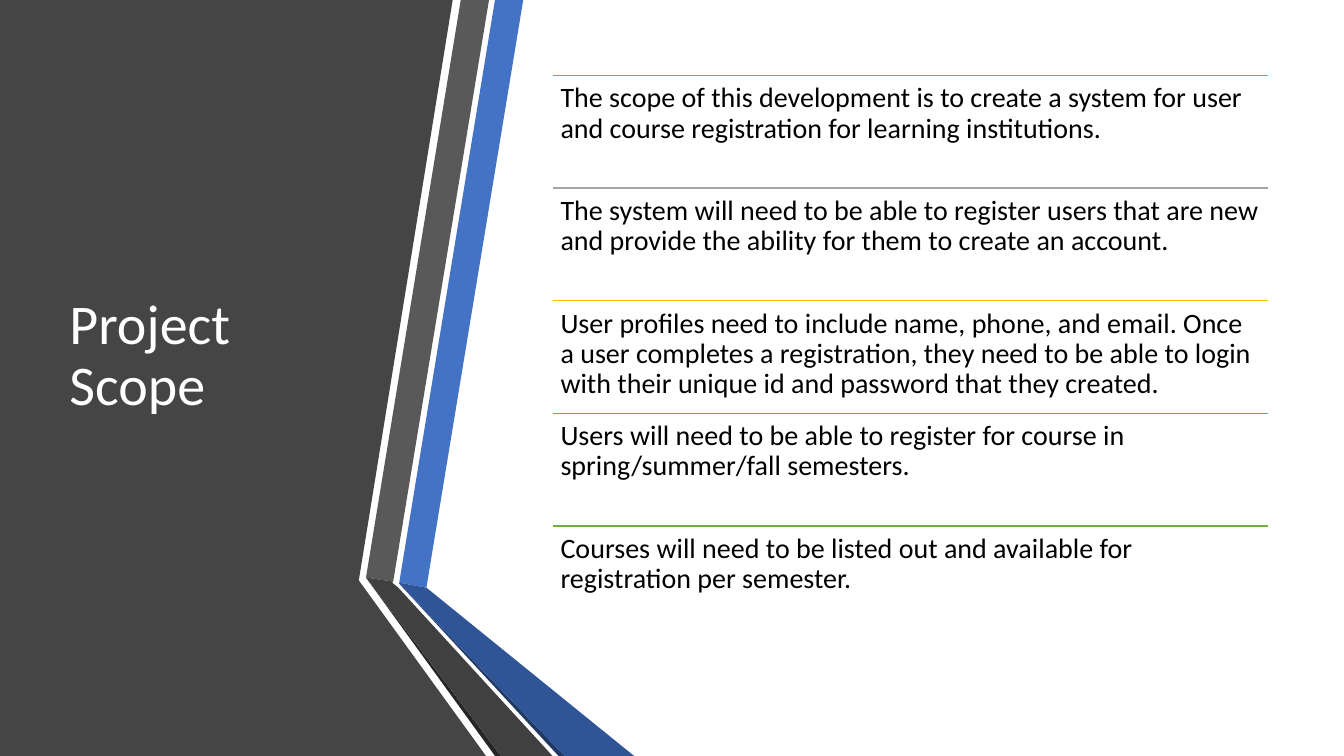
from lxml import etree
from pptx import Presentation
from pptx import util as u
from pptx.dml.color import RGBColor
from pptx.enum import shapes, text
from pptx.oxml import ns

WIDE, HIGH = 13.33, 7.5
LEFT, TOP, SPAN, ROW = 5.48, 0.75, 7.1, 1.117
FONT = "Calibri"
WHITE = RGBColor(0xFF, 0xFF, 0xFF)
BLACK = RGBColor(0x00, 0x00, 0x00)
PANEL = RGBColor(0x45, 0x45, 0x45)
BLUE = RGBColor(0x44, 0x72, 0xC4)
NAVY = RGBColor(0x20, 0x38, 0x64)
DEEP = RGBColor(0x2F, 0x55, 0x97)
GREY = RGBColor(0x59, 0x59, 0x59)
COAL = RGBColor(0x26, 0x26, 0x26)
DARK = RGBColor(0x40, 0x40, 0x40)
ORANGE = RGBColor(0xED, 0x7D, 0x31)
SILVER = RGBColor(0xA5, 0xA5, 0xA5)
GOLD = RGBColor(0xFF, 0xC0, 0x00)
SKY = RGBColor(0x5B, 0x9B, 0xD5)
GREEN = RGBColor(0x70, 0xAD, 0x47)

BANDS = [
    (PANEL, [(0, 0), (4.49, 0), (3.56, 5.75), (3.56, 5.76), (4.82, HIGH), (0, HIGH)]),
    (BLUE, [(3.96, 5.78), (4.23, 5.83), (5.19, 0), (4.91, 0)]),
    (GREY, [(4.85, 0), (4.57, 0), (3.63, 5.73), (3.9, 5.77)]),
    (COAL, [(3.63, 5.73), (4.91, HIGH), (4.97, HIGH)]),
    (NAVY, [(3.96, 5.79), (5.54, HIGH), (5.6, HIGH)]),
    (DEEP, [(3.96, 5.79), (5.6, HIGH), (6.29, HIGH), (4.23, 5.83), (3.96, 5.78)]),
    (DARK, [(5.48, HIGH), (3.95, 5.83), (3.89, 5.78), (3.9, 5.77), (3.63, 5.73),
            (4.97, HIGH)]),
]

SCOPE = [
    (ORANGE, "The scope of this development is to create a system for user and "
             "course registration for learning institutions."),
    (SILVER, "The system will need to be able to register users that are new and "
             "provide the ability for them to create an account."),
    (GOLD, "User profiles need to include name, phone, and email. Once a user "
           "completes a registration, they need to be able to login with their "
           "unique id and password that they created."),
    (SKY, "Users will need to be able to register for course in "
          "spring/summer/fall semesters."),
    (GREEN, "Courses will need to be listed out and available for registration "
            "per semester."),
]


def add_band(slide, color, points):
    """Draw one filled polygon from points in inches."""
    dots = [(u.Inches(x), u.Inches(y)) for x, y in points]
    pen = slide.shapes.build_freeform(*dots[0])
    pen.add_line_segments(dots[1:], close=True)
    band = pen.convert_to_shape()
    band.shadow.inherit = False
    band.fill.solid()
    band.fill.fore_color.rgb = color
    band.line.fill.background()


def add_rule(slide, top, color):
    """Draw a thin line across the text column."""
    rule = slide.shapes.add_connector(
        shapes.MSO_CONNECTOR.STRAIGHT, u.Inches(LEFT), u.Inches(top),
        u.Inches(LEFT + SPAN), u.Inches(top))
    rule.line.color.rgb = color
    rule.line.width = u.Pt(1)
    etree.SubElement(rule.element.spPr, ns.qn("a:effectLst"))


def add_words(slide, box, words, size, color, anchor, pad):
    """Add a wrapped text box with one run; pad gives side and top insets."""
    frame = slide.shapes.add_textbox(*map(u.Inches, box)).text_frame
    frame.word_wrap = True
    frame.vertical_anchor = anchor
    frame.margin_left = frame.margin_right = u.Inches(pad[0])
    frame.margin_top = frame.margin_bottom = u.Inches(pad[1])
    para = frame.paragraphs[0]
    para.line_spacing = 0.9
    run = para.add_run()
    run.text = words
    run.font.name = FONT
    run.font.size = u.Pt(size)
    run.font.color.rgb = color


def main():
    """Build the project scope slide."""
    deck = Presentation()
    deck.slide_width, deck.slide_height = u.Inches(WIDE), u.Inches(HIGH)
    slide = deck.slides.add_slide(deck.slide_layouts[6])
    for color, points in BANDS:
        add_band(slide, color, points)
    add_words(slide, (0.59, TOP, 3.04, 5.58), "Project Scope", 40, WHITE,
              text.MSO_ANCHOR.MIDDLE, (0.1, 0.05))
    for row, (color, words) in enumerate(SCOPE):
        top = TOP + row * ROW
        add_rule(slide, top, color)
        add_words(slide, (LEFT, top, SPAN, ROW), words, 20, BLACK,
                  text.MSO_ANCHOR.TOP, (0.08, 0.08))
    deck.save("out.pptx")


if __name__ == "__main__":
    main()
